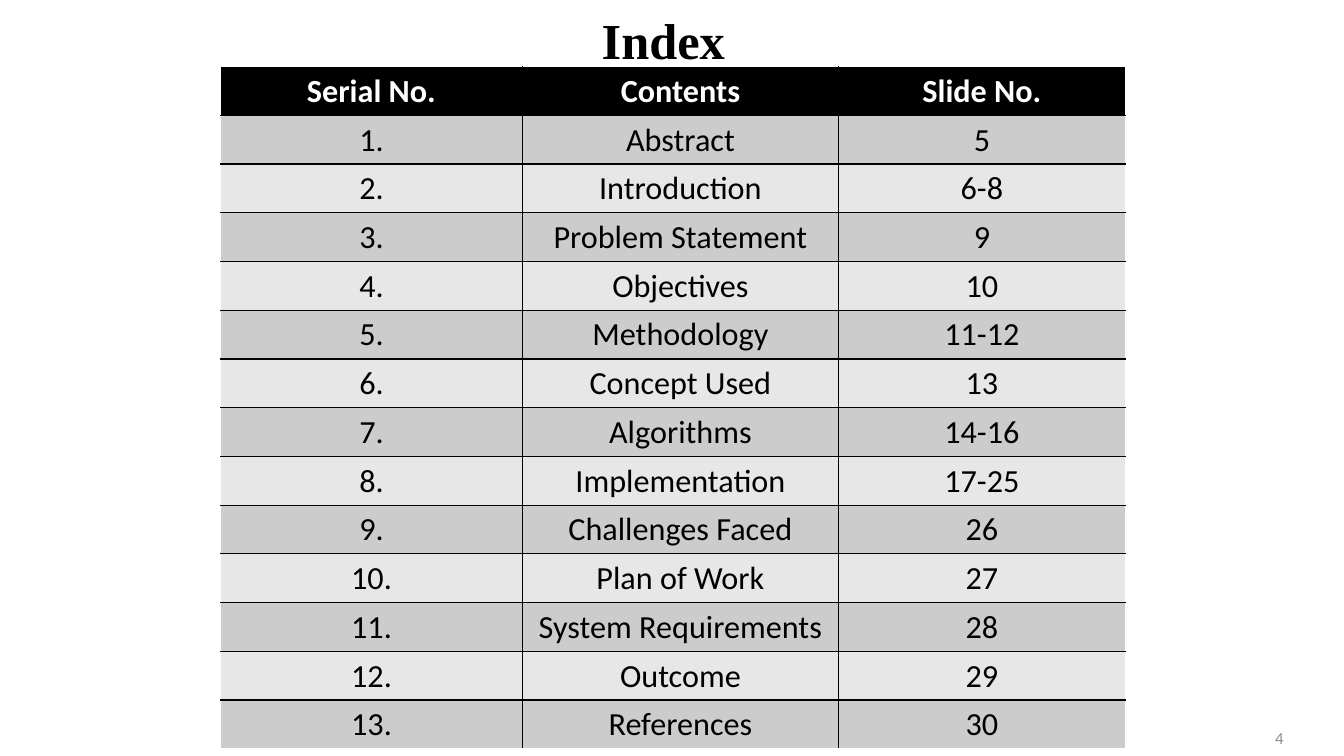
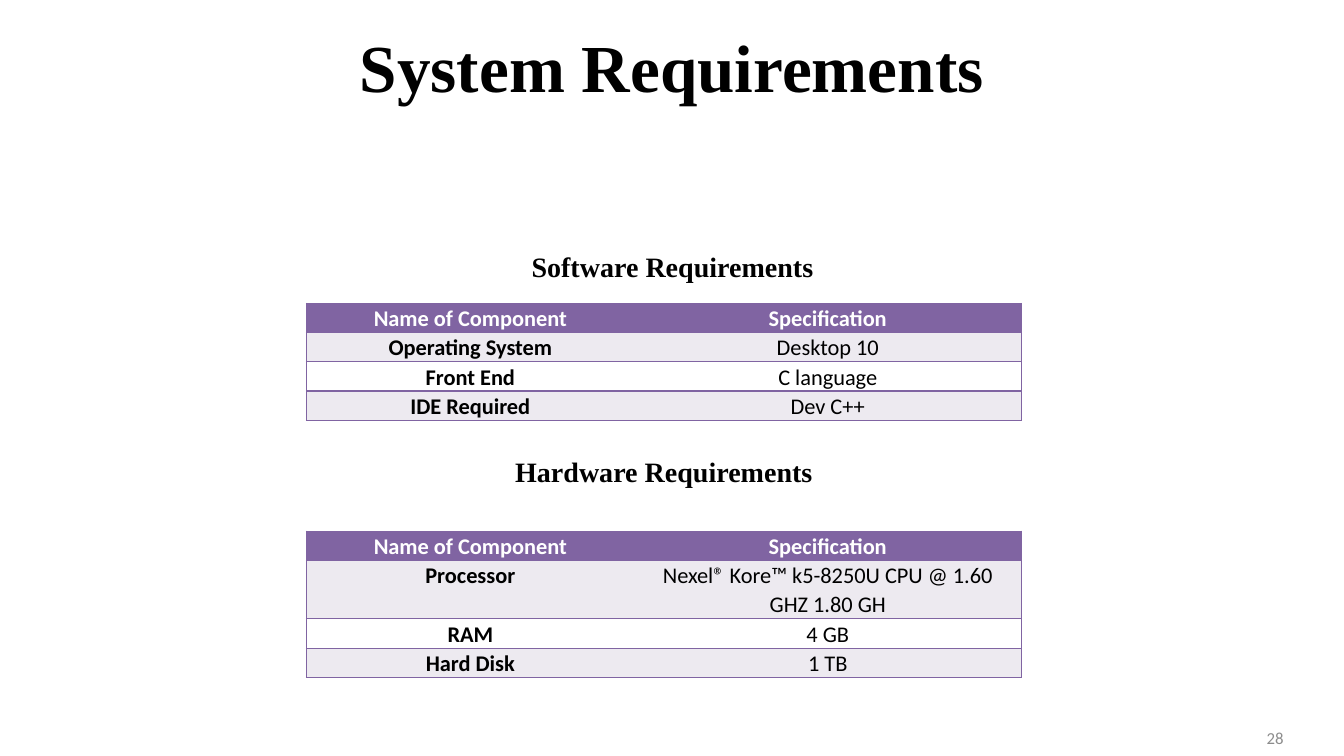
from dataclasses import dataclass
from typing import Optional, Sequence

from lxml import etree
from pptx import Presentation
from pptx.dml.color import RGBColor
from pptx.enum import text
from pptx.oxml import ns
from pptx.util import Inches, Pt

COLORS = {
    "black": "000000",
    "white": "FFFFFF",
    "page_number": "8C8C8C",
    "dark_band": "CCCCCC",
    "light_band": "E7E7E7",
    "purple": "8064A2",
    "pale_purple": "EDEAF0",
}
TITLE_FONT = "Times New Roman"
BODY_FONT = "Calibri"
ALIGN = text.PP_ALIGN


@dataclass(frozen=True)
class Box:
    left: float
    top: float
    width: float
    height: float


@dataclass(frozen=True)
class TextStyle:
    font: str
    size: float
    color: str = "black"
    bold: bool = False
    align: ALIGN = ALIGN.CENTER
    spacing: float = 1.0
    wrap: bool = True


@dataclass(frozen=True)
class TableStyle:
    size: float
    header: str
    bands: tuple[str, str]
    outer: str
    horizontal: str
    vertical: Optional[str]
    margins: tuple[float, float]
    spacing: float = 1.0
    bold_first_column: bool = False


INDEX_TITLE = TextStyle(TITLE_FONT, 36, bold=True)
LARGE_TITLE = TextStyle(TITLE_FONT, 48, bold=True)
HEADING = TextStyle(TITLE_FONT, 20, bold=True, wrap=False)
PAGE_NUMBER = TextStyle(BODY_FONT, 12, "page_number", align=ALIGN.RIGHT)

INDEX_TABLE = TableStyle(23, "black", ("dark_band", "light_band"),
                         "white", "black", "black", (0.1, 0.05))
REQUIREMENTS_TABLE = TableStyle(16, "purple", ("pale_purple", "white"),
                                "purple", "purple", None, (0.07, 0),
                                spacing=1.07, bold_first_column=True)

INDEX_ENTRIES = [
    ("Abstract", "5"),
    ("Introduction", "6-8"),
    ("Problem Statement", "9"),
    ("Objectives", "10"),
    ("Methodology", "11-12"),
    ("Concept Used", "13"),
    ("Algorithms", "14-16"),
    ("Implementation", "17-25"),
    ("Challenges Faced", "26"),
    ("Plan of Work", "27"),
    ("System Requirements", "28"),
    ("Outcome", "29"),
    ("References", "30"),
]
REQUIREMENTS_HEADER = ("Name of Component", "Specification")
SOFTWARE = [
    ("Operating System", "Desktop 10"),
    ("Front End", "C language"),
    ("IDE Required", "Dev C++"),
]
HARDWARE = [
    ("Processor", "Nexel® Kore™ k5-8250U CPU @ 1.60 GHZ 1.80 GH"),
    ("RAM", "4 GB"),
    ("Hard Disk", "1 TB"),
]


def rgb(name: str) -> RGBColor:
    return RGBColor.from_string(COLORS[name])


def write_text(frame, content: str, style: TextStyle) -> None:
    paragraph = frame.paragraphs[0]
    paragraph.text = content
    paragraph.alignment = style.align
    paragraph.line_spacing = style.spacing
    font = paragraph.font
    font.name, font.size, font.bold = style.font, Pt(style.size), style.bold
    font.color.rgb = rgb(style.color)


def add_text(slide, box: Box, content: str, style: TextStyle) -> None:
    shape = slide.shapes.add_textbox(Inches(box.left), Inches(box.top),
                                     Inches(box.width), Inches(box.height))
    frame = shape.text_frame
    frame.word_wrap = style.wrap
    frame.vertical_anchor = text.MSO_ANCHOR.MIDDLE
    write_text(frame, content, style)


def add_border(cell, side: str, color: Optional[str]) -> None:
    properties = cell._tc.get_or_add_tcPr()
    line = etree.SubElement(properties, ns.qn(f"a:ln{side}"), w=str(Pt(1)))
    if color is None:
        etree.SubElement(line, ns.qn("a:noFill"))
    else:
        fill = etree.SubElement(line, ns.qn("a:solidFill"))
        etree.SubElement(fill, ns.qn("a:srgbClr"), val=COLORS[color])


def add_table(slide, left: float, top: float, widths: Sequence[float],
              heights: Sequence[float], rows: Sequence[Sequence[str]],
              style: TableStyle) -> None:
    table = slide.shapes.add_table(
        len(rows), len(widths), Inches(left), Inches(top),
        Inches(sum(widths)), Inches(sum(heights))).table
    table.first_row = table.horz_banding = False
    for column, width in zip(table.columns, widths):
        column.width = Inches(width)
    for row, height in zip(table.rows, heights):
        row.height = Inches(height)

    last_row, last_column = len(rows) - 1, len(widths) - 1
    for i, values in enumerate(rows):
        for j, value in enumerate(values):
            cell = table.cell(i, j)
            cell.margin_left = cell.margin_right = Inches(style.margins[0])
            cell.margin_top = cell.margin_bottom = Inches(style.margins[1])
            # Borders come before the fill in the cell properties
            add_border(cell, "L", style.outer if j == 0 else style.vertical)
            add_border(cell, "R", style.outer if j == last_column else style.vertical)
            add_border(cell, "T", style.outer if i == 0 else style.horizontal)
            add_border(cell, "B", style.outer if i == last_row else style.horizontal)
            is_header = i == 0
            cell.fill.solid()
            cell.fill.fore_color.rgb = rgb(
                style.header if is_header else style.bands[(i - 1) % 2])
            write_text(cell.text_frame, value, TextStyle(
                BODY_FONT, style.size, "white" if is_header else "black",
                bold=is_header or (style.bold_first_column and j == 0),
                spacing=style.spacing))


def add_slide(presentation, title: str, title_box: Box, style: TextStyle,
              number: int):
    slide = presentation.slides.add_slide(presentation.slide_layouts[6])
    add_text(slide, Box(9.72, 7.12, 3.11, 0.4), str(number), PAGE_NUMBER)
    add_text(slide, title_box, title, style)
    return slide


def build_index(presentation) -> None:
    slide = add_slide(presentation, "Index", Box(5.76, 0.03, 1.64, 0.73),
                      INDEX_TITLE, 4)
    rows = [("Serial No.", "Contents", "Slide No.")]
    rows += [(f"{serial}.", *entry)
             for serial, entry in enumerate(INDEX_ENTRIES, start=1)]
    add_table(slide, 2.19, 0.66, (2.99, 3.14, 2.84), [0.46] * len(rows),
              rows, INDEX_TABLE)


def build_requirements(presentation) -> None:
    slide = add_slide(presentation, "System Requirements",
                      Box(0, 0.34, 13.33, 0.62), LARGE_TITLE, 28)
    sections = [
        ("Software Requirements", Box(5.16, 2.42, 3.02, 0.44), 3.01,
         (0.29, 0.29, 0.29, 0.29), SOFTWARE),
        ("Hardware Requirements", Box(5, 4.46, 3.17, 0.44), 5.27,
         (0.29, 0.58, 0.29, 0.29), HARDWARE),
    ]
    for heading, box, top, heights, components in sections:
        add_text(slide, box, heading, HEADING)
        add_table(slide, 3.04, top, (3.25, 3.84), heights,
                  [REQUIREMENTS_HEADER, *components], REQUIREMENTS_TABLE)


def main() -> None:
    presentation = Presentation()
    presentation.slide_width = Inches(13.33)
    presentation.slide_height = Inches(7.5)
    build_index(presentation)
    build_requirements(presentation)
    presentation.save("out.pptx")


if __name__ == "__main__":
    main()
